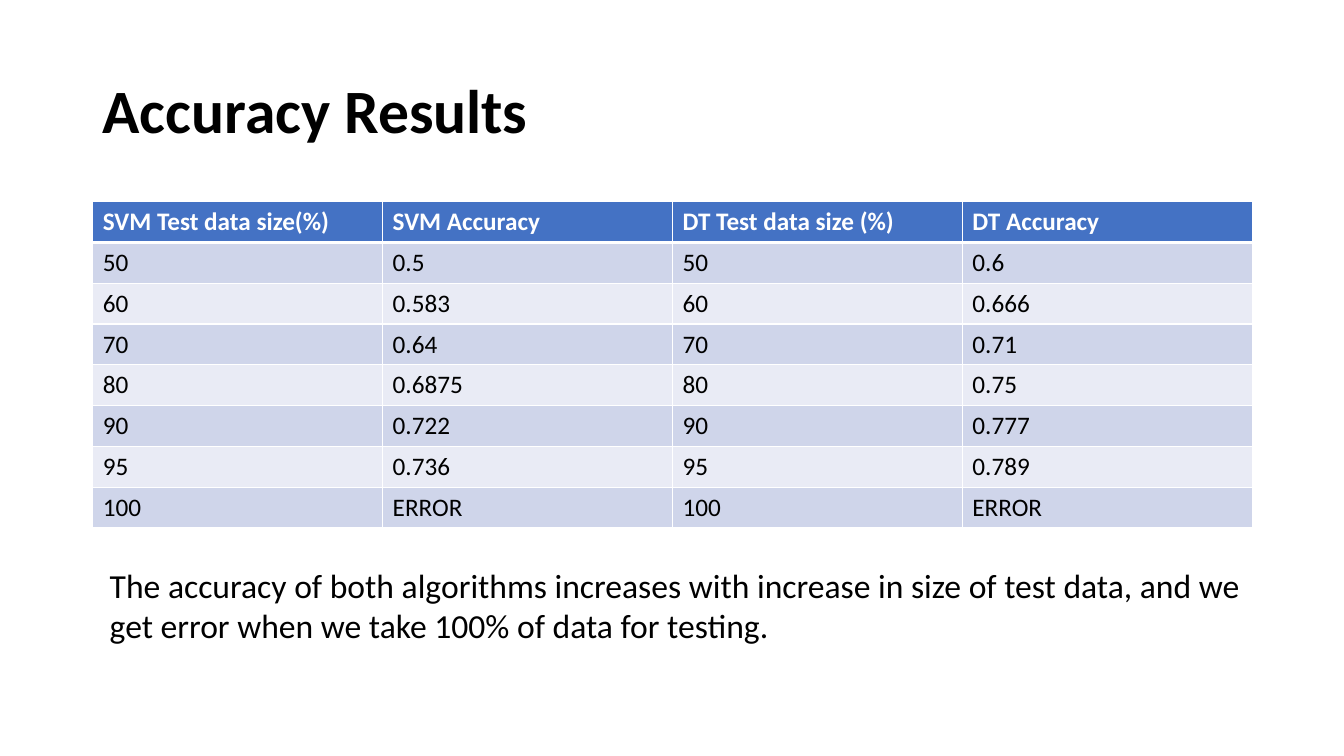
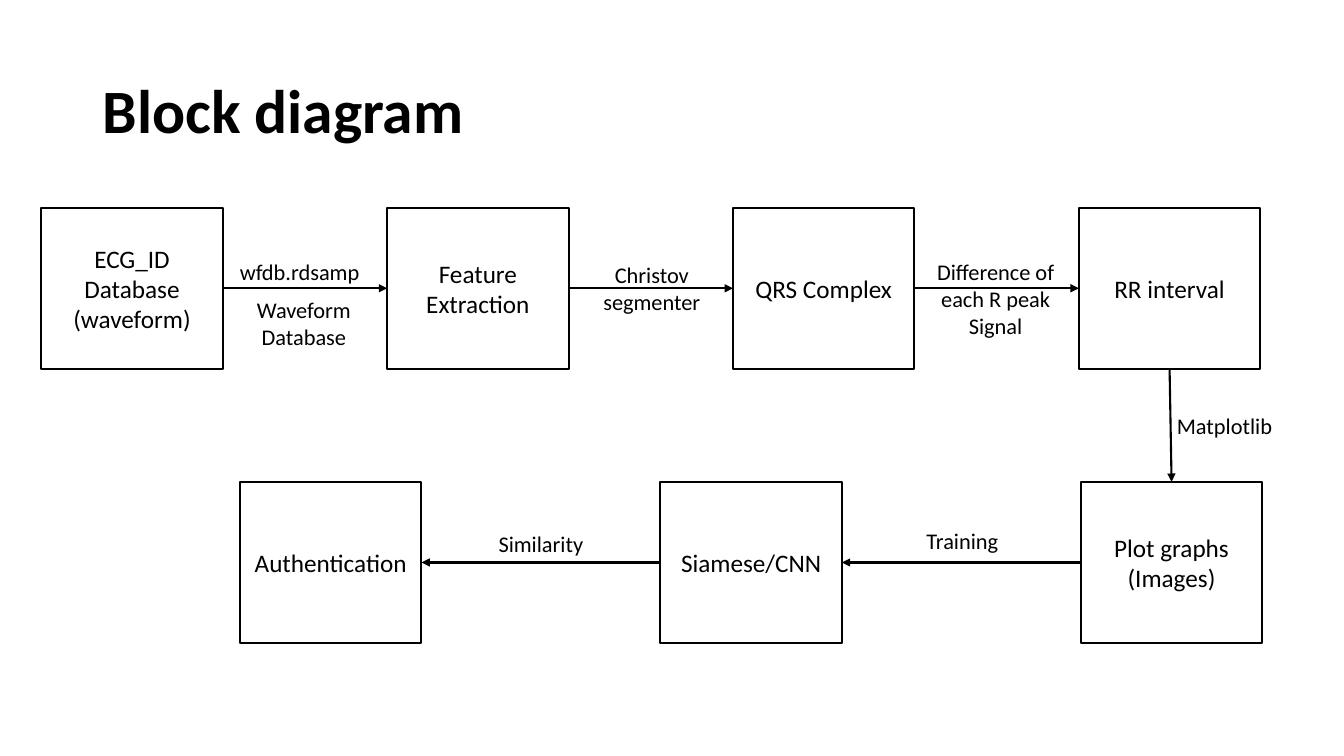
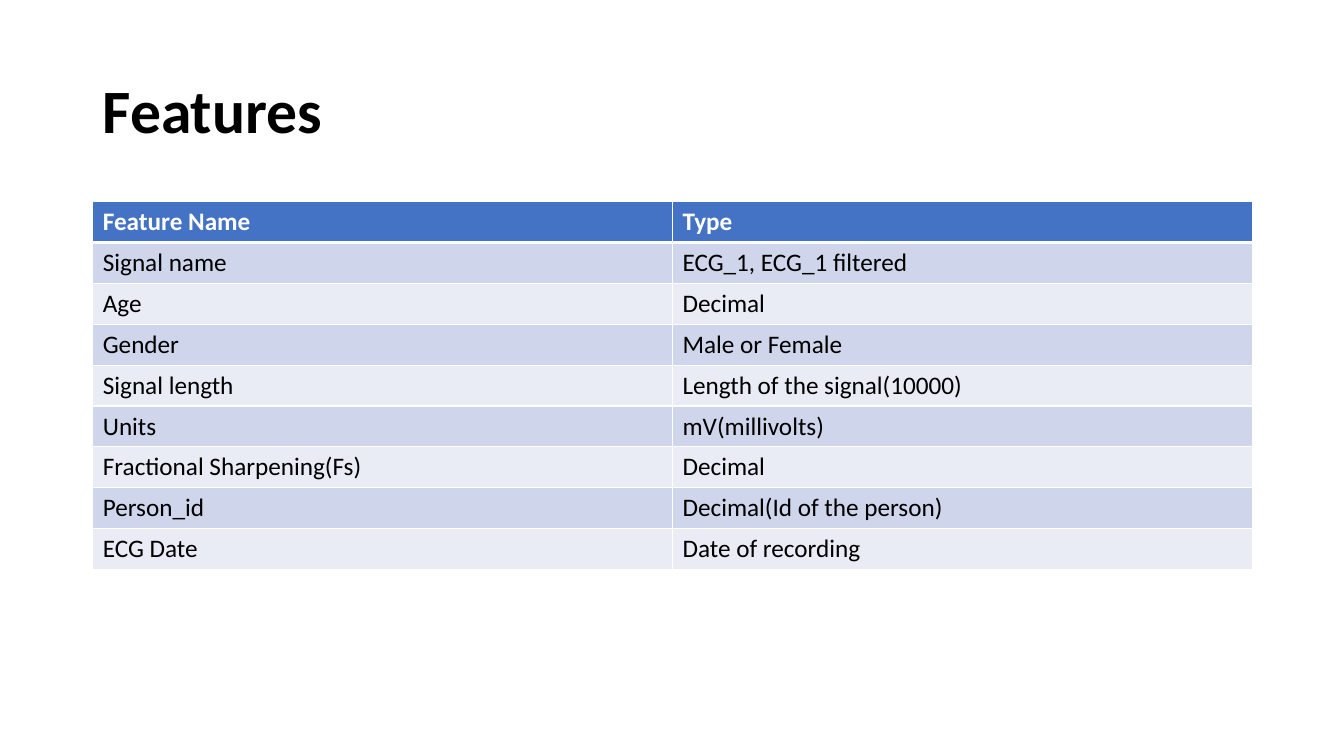
"""Build three slides on ECG authentication: accuracy, block diagram and features."""
from itertools import pairwise

from lxml import etree
from pptx import Presentation
from pptx.dml.color import RGBColor
from pptx.enum.shapes import MSO_CONNECTOR, MSO_SHAPE
from pptx.enum.text import MSO_ANCHOR, PP_ALIGN
from pptx.oxml.ns import qn
from pptx.util import Pt

PX = 9144
BLACK = RGBColor(0x00, 0x00, 0x00)
WHITE = RGBColor(0xFF, 0xFF, 0xFF)
BLUE = RGBColor(0x44, 0x72, 0xC4)
BAND_DARK = RGBColor(0xCF, 0xD5, 0xEA)
BAND_LIGHT = RGBColor(0xE9, 0xEB, 0xF5)
LEFT, CENTER = PP_ALIGN.LEFT, PP_ALIGN.CENTER
TOP, MIDDLE = MSO_ANCHOR.TOP, MSO_ANCHOR.MIDDLE
RECTANGLE = MSO_SHAPE.RECTANGLE
STRAIGHT = MSO_CONNECTOR.STRAIGHT
TOP_SITE, LEFT_SITE, BOTTOM_SITE, RIGHT_SITE = range(4)
MARGIN, CONTENT_WIDTH = 92, 1150
BOX_WIDTH, BOX_HEIGHT = 180, 160

ACCURACY = [
    ("SVM Test data size(%)", "SVM Accuracy", "DT Test data size (%)", "DT Accuracy"),
    ("50", "0.5", "50", "0.6"),
    ("60", "0.583", "60", "0.666"),
    ("70", "0.64", "70", "0.71"),
    ("80", "0.6875", "80", "0.75"),
    ("90", "0.722", "90", "0.777"),
    ("95", "0.736", "95", "0.789"),
    ("100", "ERROR", "100", "ERROR"),
]
FEATURES = [
    ("Feature Name", "Type"),
    ("Signal name", "ECG_1, ECG_1 filtered"),
    ("Age", "Decimal"),
    ("Gender", "Male or Female"),
    ("Signal length", "Length of the signal(10000)"),
    ("Units", "mV(millivolts)"),
    ("Fractional Sharpening(Fs)", "Decimal"),
    ("Person_id", "Decimal(Id of the person)"),
    ("ECG Date", "Date of recording"),
]
UPPER_STEPS = ["ECG_ID\nDatabase\n(waveform)", "Feature Extraction", "QRS Complex", "RR interval"]
LOWER_STEPS = ["Plot graphs\n(Images)", "Siamese/CNN", "Authentication"]
ARROW_LABELS = [
    ("wfdb.rdsamp", 228, 251, 37, LEFT),
    ("Waveform Database", 228, 289, 64, CENTER),
    ("Christov segmenter", 573, 254, 64, CENTER),
    ("Difference of each R peak Signal", 914, 251, 91, CENTER),
    ("Matplotlib", 1141, 404, 37, CENTER),
    ("Training", 881, 518, 37, CENTER),
    ("Similarity", 463, 521, 37, CENTER),
]


class SlideMaker:
    """Hold the shared style and draw on the current page."""

    def __init__(self):
        self.deck = Presentation()
        self.deck.slide_width, self.deck.slide_height = 1333 * PX, 750 * PX
        self.page = None

    def start(self, title):
        self.page = self.deck.slides.add_slide(self.deck.slide_layouts[6])
        frame = self.text(title, MARGIN, 40, CONTENT_WIDTH, 145, 44, bold=True, anchor=MIDDLE)
        frame.paragraphs[0].line_spacing = 0.9

    def fill_text(self, frame, words, size, color=BLACK, bold=False, align=LEFT):
        frame.text = words
        for para in frame.paragraphs:
            para.alignment = align
            para.font.name, para.font.size = "Calibri", Pt(size)
            para.font.bold = bold
            para.font.color.rgb = color

    def text(self, words, left, top, width, height, size, bold=False, align=LEFT, anchor=TOP):
        box = self.page.shapes.add_textbox(left * PX, top * PX, width * PX, height * PX)
        frame = box.text_frame
        frame.word_wrap = True
        frame.vertical_anchor = anchor
        self.fill_text(frame, words, size, bold=bold, align=align)
        return frame

    def box(self, words, left, top):
        shape = self.page.shapes.add_shape(
            RECTANGLE, left * PX, top * PX, BOX_WIDTH * PX, BOX_HEIGHT * PX)
        shape.shadow.inherit = False
        shape.fill.solid()
        shape.fill.fore_color.rgb = WHITE
        shape.line.color.rgb = BLACK
        shape.line.width = Pt(1.5)
        shape.text_frame.vertical_anchor = MIDDLE
        self.fill_text(shape.text_frame, words, 18, align=CENTER)
        return shape

    def arrow(self, source, source_site, target, target_site):
        connector = self.page.shapes.add_connector(STRAIGHT, 0, 0, 0, 0)
        connector.begin_connect(source, source_site)
        connector.end_connect(target, target_site)
        connector.line.color.rgb = BLACK
        connector.line.width = Pt(1.5)
        properties = connector.element.spPr
        etree.SubElement(properties.find(qn("a:ln")), qn("a:tailEnd"), type="triangle")
        etree.SubElement(properties, qn("a:effectLst"))

    def borders(self, cell, top, bottom):
        properties = cell._tc.get_or_add_tcPr()
        for side, points in (("L", 1), ("R", 1), ("T", top), ("B", bottom)):
            edge = etree.SubElement(properties, qn(f"a:ln{side}"), w=str(Pt(points)))
            fill = etree.SubElement(edge, qn("a:solidFill"))
            etree.SubElement(fill, qn("a:srgbClr"), val=str(WHITE))

    def table(self, rows, height):
        table = self.page.shapes.add_table(
            len(rows), len(rows[0]), MARGIN * PX, 200 * PX, CONTENT_WIDTH * PX, height * PX).table
        for i, row in enumerate(rows):
            header = i == 0
            band = BLUE if header else BAND_DARK if i % 2 else BAND_LIGHT
            for j, words in enumerate(row):
                cell = table.cell(i, j)
                self.borders(cell, top=3 if i == 1 else 1, bottom=3 if header else 1)
                cell.fill.solid()
                cell.fill.fore_color.rgb = band
                self.fill_text(cell.text_frame, words, 18, WHITE if header else BLACK, header)


def accuracy_slide(maker):
    maker.start("Accuracy Results")
    maker.table(ACCURACY, 324)
    maker.text(
        "The accuracy of both algorithms increases with increase in size of test data, "
        "and we get error when we take 100% of data for testing.",
        99, 555, CONTENT_WIDTH, 91, 24)


def diagram_slide(maker):
    maker.start("Block diagram")
    upper = [maker.box(words, 41 + 343 * i, 206) for i, words in enumerate(UPPER_STEPS)]
    lower = [maker.box(words, 1072 - 417 * i, 478) for i, words in enumerate(LOWER_STEPS)]
    for source, target in pairwise(upper):
        maker.arrow(source, RIGHT_SITE, target, LEFT_SITE)
    maker.arrow(upper[-1], BOTTOM_SITE, lower[0], TOP_SITE)
    for source, target in pairwise(lower):
        maker.arrow(source, LEFT_SITE, target, RIGHT_SITE)
    for words, left, top, height, align in ARROW_LABELS:
        maker.text(words, left, top, 147, height, 16, align=align)


def features_slide(maker):
    maker.start("Features")
    maker.table(FEATURES, 365)


def main():
    maker = SlideMaker()
    accuracy_slide(maker)
    diagram_slide(maker)
    features_slide(maker)
    maker.deck.save("out.pptx")


if __name__ == "__main__":
    main()
